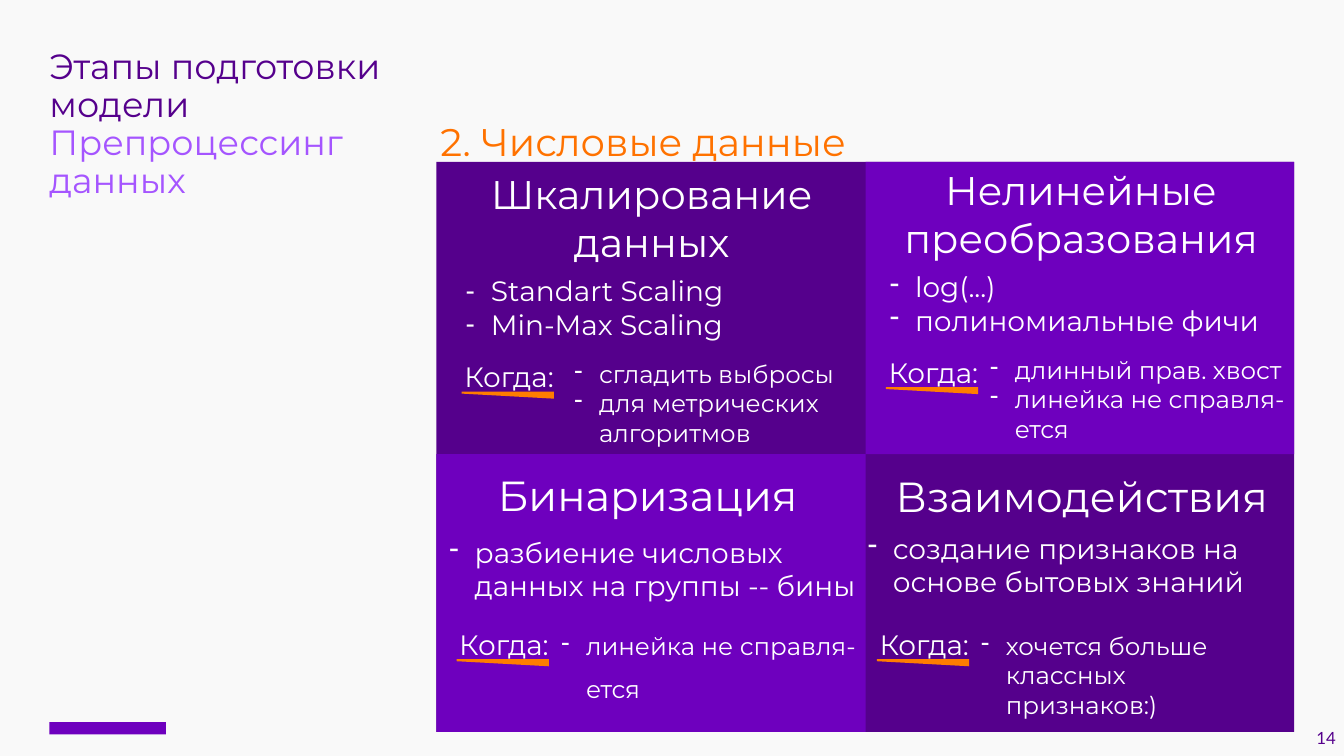
from dataclasses import dataclass

from lxml.etree import SubElement
from pptx import Presentation
from pptx.dml.color import RGBColor
from pptx.enum.shapes import MSO_SHAPE
from pptx.enum.text import MSO_ANCHOR, MSO_AUTO_SIZE, PP_ALIGN
from pptx.oxml.ns import qn
from pptx.shapes.base import BaseShape
from pptx.slide import Slide
from pptx.util import Inches, Pt

COLORS = {
    "background": "F9F9F9",
    "dark": "55008C",
    "bright": "6E00BE",
    "light": "A555FF",
    "orange": "FF7D00",
    "heading": "FF7200",
    "white": "FFFFFF",
}
Frame = tuple[float, float, float, float]


@dataclass(frozen=True)
class Style:
    size: float
    color: str = "white"
    font: str = "Montserrat"
    align: PP_ALIGN = PP_ALIGN.LEFT
    anchor: MSO_ANCHOR = MSO_ANCHOR.TOP
    spacing: float = 1.0
    margin: float = 0
    hanging: float = 0
    gap: float = 0


@dataclass(frozen=True)
class Quadrant:
    heading: str
    heading_size: float
    heading_frame: Frame
    methods: list[str]
    methods_frame: Frame
    when_corner: tuple[float, float]
    reasons: list[str]
    reasons_frame: Frame
    continued: bool = False


METHODS = Style(40, margin=0.5, hanging=0.53)
REASONS = Style(35, margin=0.5, hanging=0.49)
WHEN = Style(40, align=PP_ALIGN.CENTER)

QUADRANTS = [
    Quadrant("Шкалирование данных", 57, (9.32, 3.37, 7.22, 1.96),
             ["Standart Scaling", "Min-Max Scaling"], (9.24, 5.43, 7.22, 1.6),
             (8.99, 7.14),
             ["сгладить выбросы", "для метрических алгоритмов"],
             (11.39, 7.12, 5.77, 1.96)),
    Quadrant("Нелинейные преобразования", 57, (17.84, 3.29, 7.22, 1.96),
             ["log(...)", "полиномиальные фичи"], (17.66, 5.35, 8.19, 1.6),
             (17.41, 7.05),
             ["длинный прав. хвост", "линейка не справля- ется"],
             (19.64, 7.04, 6.63, 1.96)),
    Quadrant("Бинаризация", 60, (9.24, 9.32, 7.22, 1.6),
             ["разбиение числовых данных на группы -- бины"],
             (8.92, 10.62, 8.5, 1.6),
             (8.89, 12.45),
             ["линейка не справля-", "ется"], (11.13, 12.52, 7.93, 0.8),
             continued=True),
    Quadrant("Взаимодействия", 60, (17.5, 9.34, 7.93, 1.6),
             ["создание признаков на основе бытовых знаний"],
             (17.22, 10.54, 8.5, 1.6),
             (17.23, 12.45),
             ["хочется больше классных признаков:)"],
             (19.46, 12.52, 6, 1.34)),
]


def rgb(name: str) -> RGBColor:
    return RGBColor.from_string(COLORS[name])


def place(shape: BaseShape, frame: Frame) -> None:
    shape.left, shape.top, shape.width, shape.height = map(Inches, frame)


def paint(shape: BaseShape, color: str) -> None:
    shape.shadow.inherit = False
    shape.fill.solid()
    shape.fill.fore_color.rgb = rgb(color)
    shape.line.fill.background()


def add_panel(page: Slide, frame: Frame, color: str) -> None:
    paint(page.shapes.add_shape(MSO_SHAPE.RECTANGLE, *map(Inches, frame)), color)


def add_underline(page: Slide, left: float, top: float) -> None:
    builder = page.shapes.build_freeform(Inches(left), Inches(top))
    corners = [(1.83, 0), (1.83, 0.14), (0, 0.04)]
    builder.add_line_segments([(Inches(left + x), Inches(top + y)) for x, y in corners])
    paint(builder.convert_to_shape(), "orange")


def write(box: BaseShape, frame: Frame, lines: list[str], style: Style,
          colors: list[str] | None = None, continued: bool = False) -> None:
    place(box, frame)
    text = box.text_frame
    text.word_wrap = True
    text.auto_size = MSO_AUTO_SIZE.NONE
    text.vertical_anchor = style.anchor
    text.margin_left = text.margin_top = text.margin_right = text.margin_bottom = 0
    text.text = "\n".join(lines)
    for index, para in enumerate(text.paragraphs):
        para.alignment = style.align
        para.line_spacing = style.spacing
        para.space_before = Pt(style.gap if index else 0)
        properties = para._p.get_or_add_pPr()
        has_bullet = style.hanging > 0 and not (continued and index)
        properties.set("marL", str(Inches(style.margin)))
        properties.set("indent", str(Inches(-style.hanging if has_bullet else 0)))
        if has_bullet:
            bullet_color = SubElement(properties, qn("a:buClr"))
            SubElement(bullet_color, qn("a:srgbClr"), val=COLORS[style.color])
            SubElement(properties, qn("a:buChar"), char="-")
        para.font.name = style.font
        para.font.size = Pt(style.size)
        para.font.color.rgb = rgb(colors[index] if colors else style.color)


def add_text(page: Slide, frame: Frame, lines: list[str], style: Style,
             continued: bool = False) -> None:
    box = page.shapes.add_textbox(*map(Inches, frame))
    write(box, frame, lines, style, continued=continued)


def add_quadrant(page: Slide, quadrant: Quadrant, body: BaseShape | None) -> None:
    heading = Style(quadrant.heading_size, align=PP_ALIGN.CENTER)
    add_text(page, quadrant.heading_frame, [quadrant.heading], heading)
    if body is None:
        add_text(page, quadrant.methods_frame, quadrant.methods, METHODS)
    else:
        write(body, quadrant.methods_frame, quadrant.methods, METHODS)
        body.element.getparent().append(body.element)
    left, top = quadrant.when_corner
    add_underline(page, left + 0.17, top + 0.63)
    add_text(page, (left, top, 2.22, 0.8), ["Когда:"], WHEN)
    reasons = Style(35, margin=0.5, hanging=0.49, gap=20) if quadrant.continued else REASONS
    add_text(page, quadrant.reasons_frame, quadrant.reasons, reasons, quadrant.continued)


def main() -> None:
    deck = Presentation()
    deck.slide_width, deck.slide_height = Inches(26.67), Inches(15)
    page = deck.slides.add_slide(deck.slide_layouts[1])
    page.background.fill.solid()
    page.background.fill.fore_color.rgb = rgb("background")

    write(page.shapes.title, (0.98, 0.98, 7.48, 2.12),
          ["Этапы подготовки модели", "Препроцессинг данных"],
          Style(50, spacing=0.9), colors=["dark", "light"])
    add_panel(page, (0.98, 14.33, 2.31, 0.24), "bright")
    add_text(page, (20.51, 14.03, 6, 0.8), ["14"],
             Style(24, "dark", "Lato", PP_ALIGN.RIGHT, MSO_ANCHOR.BOTTOM))

    add_panel(page, (8.66, 3.21, 17.02, 11.31), "dark")
    add_panel(page, (17.18, 3.21, 8.5, 5.8), "bright")
    add_panel(page, (8.66, 9.01, 8.52, 5.51), "bright")

    body = page.placeholders[1]
    for index, quadrant in enumerate(QUADRANTS):
        add_quadrant(page, quadrant, None if index else body)
    add_text(page, (8.24, 2.44, 9.97, 1), ["2. Числовые данные"],
             Style(55, "heading", spacing=0.9, margin=0.5))

    deck.save("out.pptx")


if __name__ == "__main__":
    main()
